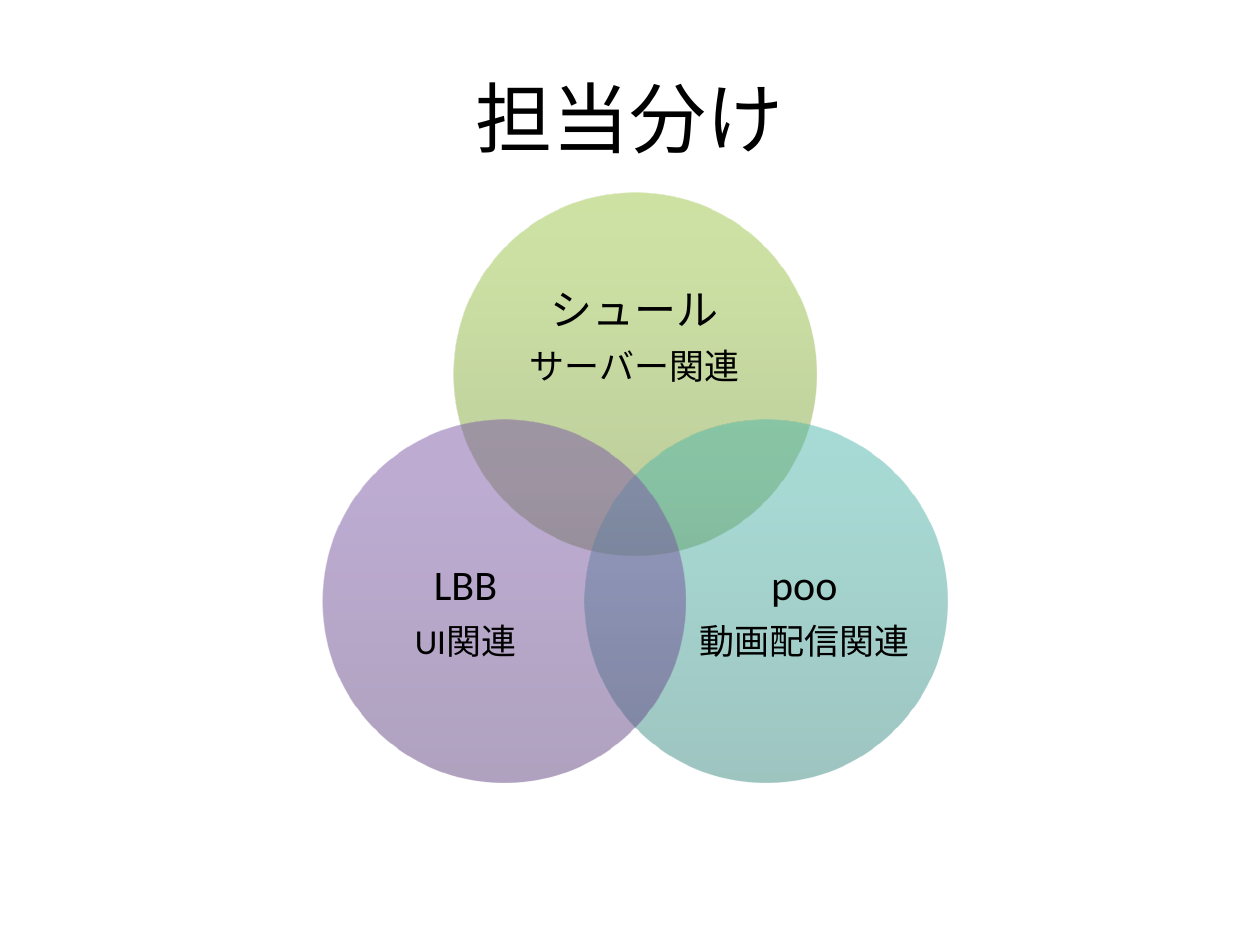
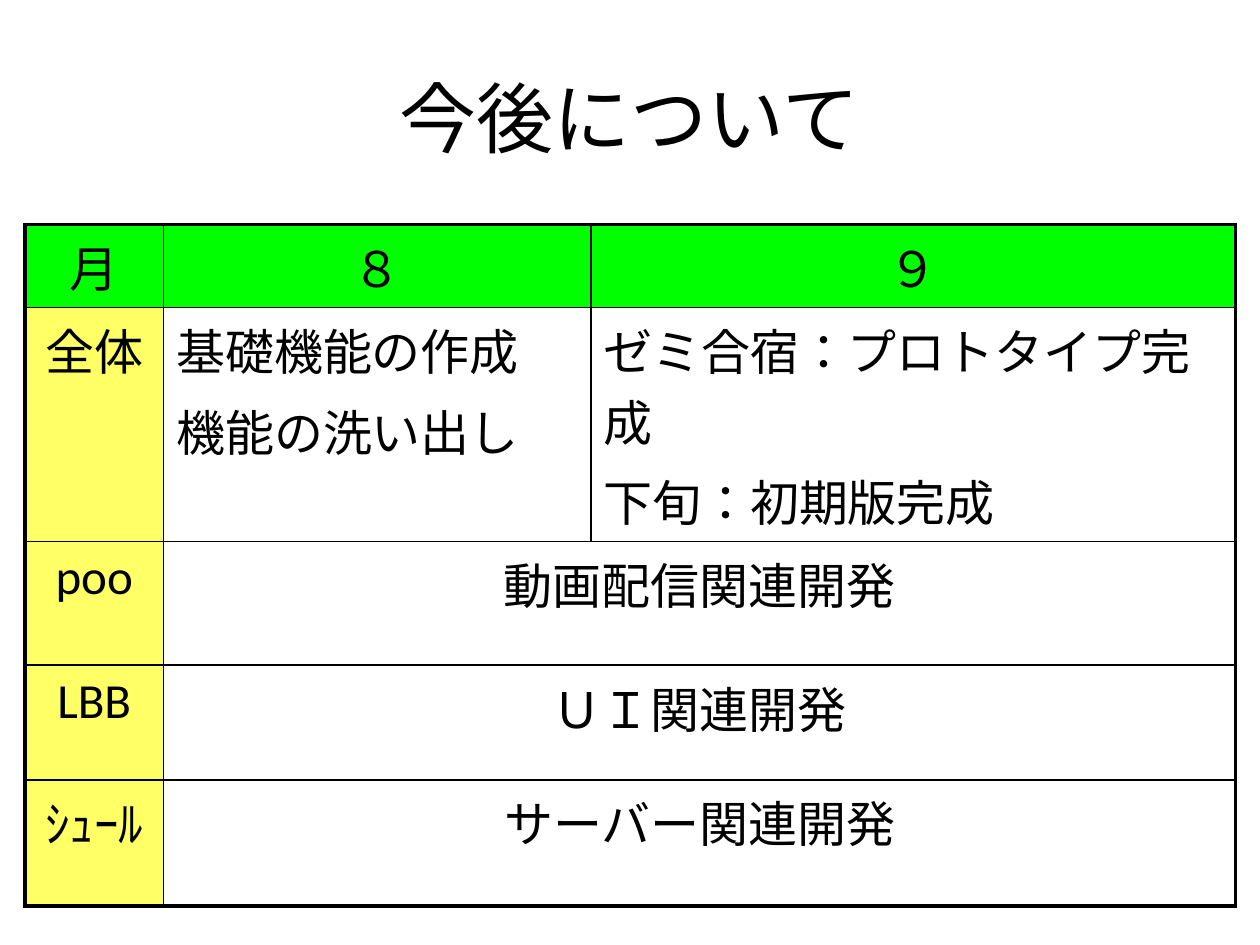
from math import cos, radians, sin

from lxml import etree
from pptx import Presentation
from pptx.dml.color import RGBColor
from pptx.enum.lang import MSO_LANGUAGE_ID
from pptx.enum.shapes import MSO_SHAPE
from pptx.enum.text import MSO_ANCHOR, PP_ALIGN
from pptx.oxml.ns import qn
from pptx.util import Cm, Pt

OVAL = MSO_SHAPE.OVAL
MIDDLE = MSO_ANCHOR.MIDDLE
CENTER = PP_ALIGN.CENTER
LEFT = PP_ALIGN.LEFT
JAPANESE = MSO_LANGUAGE_ID.JAPANESE

FONT = "Calibri"
BLACK = "000000"
HEADER_GREEN = "00FF00"
LABEL_YELLOW = "FFFF66"

VENN_CENTER = (12.8, 10.59)
VENN_RADIUS = 3.05
CIRCLE_SIZE = 7.32
GRADIENT_STOPS = (0, 80, 100)
ROLES = [
    (-90, ("779737", "9BC348", "9DC746"), (10.11, 5.16, 5.36, 3.3), ("シュール", "サーバー関連")),
    (30, ("3D8B83", "50B5AA", "4EB8AC"), (14.02, 10.34, 4.39, 4.04), ("poo", "動画配信関連")),
    (150, ("5F4480", "7B58A6", "7C57A8"), (7.19, 10.34, 4.39, 4.04), ("LBB", "UI関連")),
]

COLUMN_WIDTHS = (2.8, 8.61, 13)
ROW_HEIGHTS = (1.68, 4.72, 2.49, 2.31, 2.54)
SCHEDULE = [
    ("月", "８", "９"),
    ("全体", "基礎機能の作成\n機能の洗い出し", "ゼミ合宿：プロトタイプ完成\n下旬：初期版完成"),
    ("poo", "動画配信関連開発"),
    ("LBB", "ＵＩ関連開発"),
    ("ｼｭｰﾙ", "サーバー関連開発"),
]


def rgb(color):
    return RGBColor.from_string(color)


class SlideBuilder:
    def __init__(self, deck):
        self.deck = deck
        self.slide = None

    def new_slide(self, title):
        self.slide = self.deck.slides.add_slide(self.deck.slide_layouts[6])
        self.text((1.27, 0.76, 22.86, 3.18), (title,), (44,))

    def style(self, paragraph, size, align=CENTER):
        paragraph.alignment = align
        for span in paragraph.runs:
            span.font.name = FONT
            span.font.size = Pt(size)
            span.font.color.rgb = rgb(BLACK)
            span.font.language_id = JAPANESE

    def text(self, place, lines, sizes, line_spacing=1.0, gap=0):
        box = self.slide.shapes.add_textbox(*map(Cm, place))
        frame = box.text_frame
        frame.word_wrap = True
        frame.vertical_anchor = MIDDLE
        frame.margin_left = frame.margin_right = 0
        frame.margin_top = frame.margin_bottom = 0
        frame.text = "\n".join(lines)
        for paragraph, size in zip(frame.paragraphs, sizes):
            self.style(paragraph, size)
            paragraph.line_spacing = line_spacing
            paragraph.space_after = Pt(size * gap)

    def circle(self, center_x, center_y, colors):
        corner = (center_x - CIRCLE_SIZE / 2, center_y - CIRCLE_SIZE / 2)
        circle = self.slide.shapes.add_shape(OVAL, *map(Cm, corner), Cm(CIRCLE_SIZE), Cm(CIRCLE_SIZE))
        circle.shadow.inherit = False
        circle.line.fill.background()
        circle.fill.gradient()
        circle.fill.gradient_angle = 90
        stops = circle.element.spPr.find(".//" + qn("a:gsLst"))
        for stop in list(stops):
            stops.remove(stop)
        for position, color in zip(GRADIENT_STOPS, colors):
            stop = etree.SubElement(stops, qn("a:gs"), pos=str(position * 1000))
            shade = etree.SubElement(stop, qn("a:srgbClr"), val=color)
            etree.SubElement(shade, qn("a:alpha"), val="50000")

    def border(self, cell, side, width):
        properties = cell._tc.get_or_add_tcPr()
        line = etree.SubElement(properties, qn("a:ln" + side), w=str(Pt(width)))
        fill = etree.SubElement(line, qn("a:solidFill"))
        etree.SubElement(fill, qn("a:srgbClr"), val=BLACK)

    def cell(self, cell, text, align, fill, outer_sides):
        for side in "LRTB":
            self.border(cell, side, 2.25 if side in outer_sides else 1)
        if fill:
            cell.fill.solid()
            cell.fill.fore_color.rgb = rgb(fill)
        else:
            cell.fill.background()
        if text:
            cell.text_frame.text = text
            for paragraph in cell.text_frame.paragraphs:
                self.style(paragraph, 28, align)
                paragraph.space_before = Pt(5.6)

    def table(self, left, top, widths, heights, rows):
        size = (sum(widths), sum(heights))
        frame = self.slide.shapes.add_table(len(rows), len(widths), Cm(left), Cm(top), *map(Cm, size))
        table = frame.table
        table.first_row = table.horz_banding = False
        for column, width in zip(table.columns, widths):
            column.width = Cm(width)
        for row, height in zip(table.rows, heights):
            row.height = Cm(height)
        last_row, last_column = len(rows) - 1, len(widths) - 1
        for r, texts in enumerate(rows):
            if len(texts) <= last_column:
                table.cell(r, len(texts) - 1).merge(table.cell(r, last_column))
            for c in range(len(widths)):
                cell = table.cell(r, c)
                end = last_column if c == len(texts) - 1 else c
                edges = {"L": c == 0, "R": end == last_column, "T": r == 0, "B": r == last_row}
                outer_sides = [side for side, outer in edges.items() if outer]
                fill = HEADER_GREEN if r == 0 else LABEL_YELLOW if c == 0 else None
                align = LEFT if r == 1 and c > 0 else CENTER
                self.cell(cell, texts[c] if c < len(texts) else "", align, fill, outer_sides)


def main():
    deck = Presentation()
    deck.slide_width, deck.slide_height = Cm(25.4), Cm(19.05)
    page = SlideBuilder(deck)

    page.new_slide("担当分け")
    for angle, colors, label_place, lines in ROLES:
        center_x = VENN_CENTER[0] + VENN_RADIUS * cos(radians(angle))
        center_y = VENN_CENTER[1] + VENN_RADIUS * sin(radians(angle))
        page.circle(center_x, center_y, colors)
        page.text(label_place, lines, (24, 20), line_spacing=0.9, gap=0.35)

    page.new_slide("今後について")
    page.table(0.5, 4.52, COLUMN_WIDTHS, ROW_HEIGHTS, SCHEDULE)

    deck.save("out.pptx")


if __name__ == "__main__":
    main()
